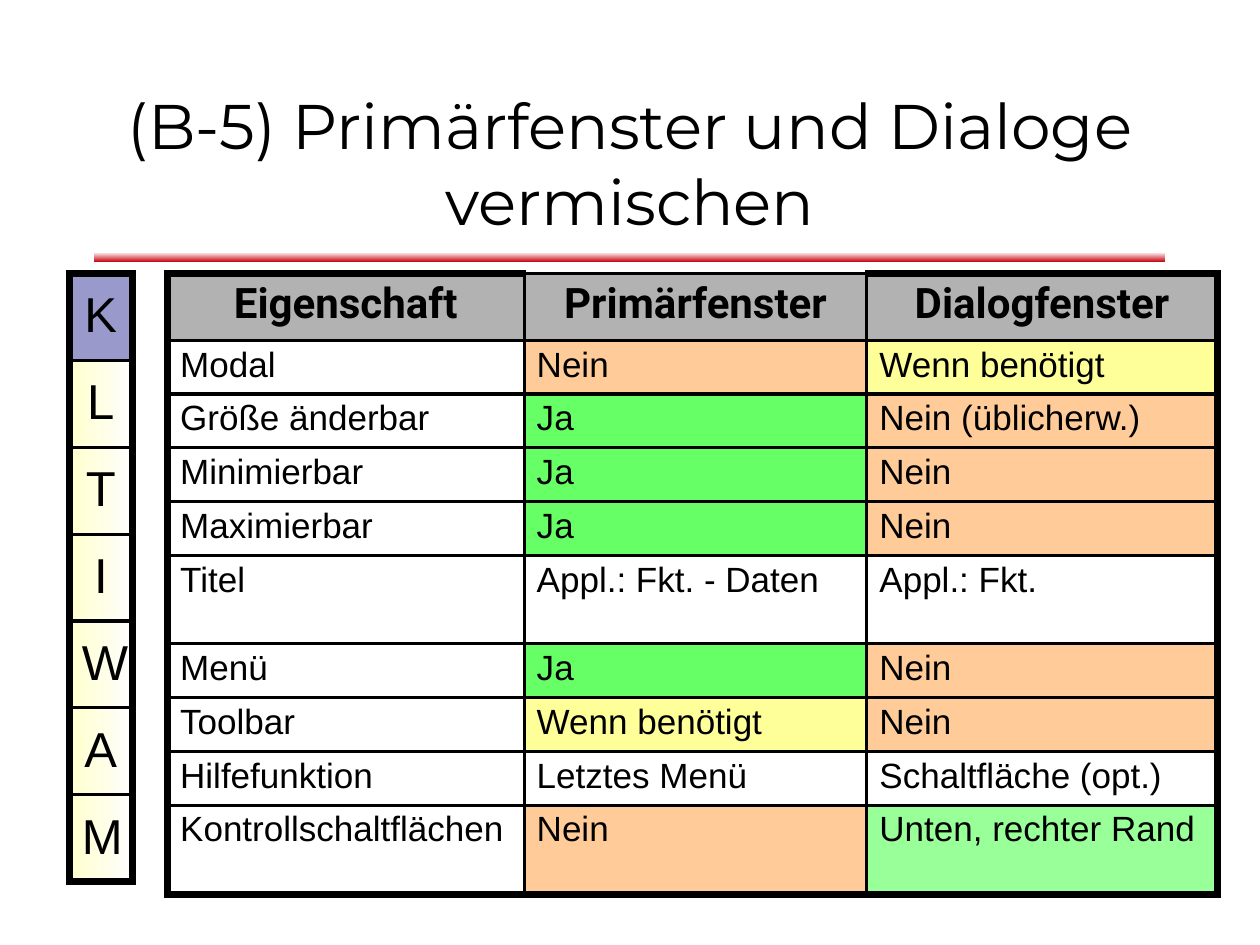
"""Build a slide that compares primary windows and dialog windows."""
from dataclasses import dataclass

from lxml import etree
from pptx import Presentation
from pptx.dml.color import RGBColor
from pptx.enum.shapes import MSO_SHAPE
from pptx.enum.text import MSO_ANCHOR, PP_ALIGN
from pptx.oxml.ns import qn
from pptx.util import Emu, Inches, Pt

RECTANGLE = MSO_SHAPE.RECTANGLE
TOP, MIDDLE = MSO_ANCHOR.TOP, MSO_ANCHOR.MIDDLE
LEFT, CENTER = PP_ALIGN.LEFT, PP_ALIGN.CENTER
SLIDE_WIDTH, SLIDE_HEIGHT = Inches(10), Inches(7.5)
BLACK, WHITE, RED = "000000", "FFFFFF", "C5000B"
GRAY, VIOLET = "B2B2B2", "9999CC"
ORANGE, YELLOW, GREEN, MINT = "FFCC99", "FFFF99", "66FF66", "99FF99"
CREAM_FADE = ("FFFFCC", "FEFEFE")
THIN, THICK = 1.98, 4.48


@dataclass
class Area:
    """A rectangle in percent of the slide's width and height."""
    left: float
    top: float
    width: float
    height: float

    def box(self) -> tuple:
        return (across(self.left), down(self.top),
                across(self.width), down(self.height))


@dataclass
class Entry:
    """The text and fill of one table cell."""
    text: str
    fill: str | tuple | None = None


@dataclass
class Style:
    """The text format of a table cell."""
    size: float
    font: str = "Arial"
    bold: bool = False
    align: PP_ALIGN = LEFT
    anchor: MSO_ANCHOR = TOP


HEADER = Style(24, "Roboto", True, CENTER)
BODY = Style(20)
LETTER = Style(28, align=CENTER, anchor=MIDDLE)

NO, YES, OPTIONAL = Entry("Nein", ORANGE), Entry("Ja", GREEN), Entry("Wenn benötigt", YELLOW)
PROPERTIES = [
    [Entry(name, GRAY) for name in ("Eigenschaft", "Primärfenster", "Dialogfenster")],
    [Entry("Modal"), NO, OPTIONAL],
    [Entry("Größe änderbar"), YES, Entry("Nein (üblicherw.)", ORANGE)],
    [Entry("Minimierbar"), YES, NO],
    [Entry("Maximierbar"), YES, NO],
    [Entry("Titel"), Entry("Appl.: Fkt. - Daten"), Entry("Appl.: Fkt.")],
    [Entry("Menü"), YES, NO],
    [Entry("Toolbar"), OPTIONAL, NO],
    [Entry("Hilfefunktion"), Entry("Letztes Menü"), Entry("Schaltfläche (opt.)")],
    [Entry("Kontrollschaltflächen"), NO, Entry("Unten, rechter Rand", MINT)],
]
PROPERTY_COLUMNS = [28.3, 27.2, 27.8]
PROPERTY_ROWS = [7.07] + [5.07] * 4 + [9.33] + [5.07] * 3 + [9.47]
LETTERS = [[Entry(letter, VIOLET if letter == "K" else CREAM_FADE)] for letter in "KLTIWAM"]


def across(percent: float) -> Emu:
    """Return a share of the slide's width."""
    return Emu(round(SLIDE_WIDTH * percent / 100))


def down(percent: float) -> Emu:
    """Return a share of the slide's height."""
    return Emu(round(SLIDE_HEIGHT * percent / 100))


def color(value: str) -> RGBColor:
    """Return the colour of a hex string."""
    return RGBColor.from_string(value)


def paint(fill, value: str | tuple | None, angle: float = 0) -> None:
    """Fill with a colour, a gradient of two colours, or nothing."""
    if value is None:
        fill.background()
    elif isinstance(value, str):
        fill.solid()
        fill.fore_color.rgb = color(value)
    else:
        fill.gradient()
        fill.gradient_angle = angle
        for stop, position, shade in zip(fill.gradient_stops, (0, 1), value):
            stop.position = position
            stop.color.rgb = color(shade)


def write(frame, text: str, *, size: float, font: str, bold: bool = False,
          align: PP_ALIGN = LEFT, spacing: float | None = None) -> None:
    """Put one formatted paragraph into a text frame."""
    frame.word_wrap = True
    para = frame.paragraphs[0]
    para.alignment = align
    para.line_spacing = spacing
    span = para.add_run()
    span.text = text
    span.font.size = Pt(size)
    span.font.name = font
    span.font.bold = bold
    span.font.color.rgb = color(BLACK)


def draw_borders(cell, widths: dict[str, float]) -> None:
    """Give each side of a cell a black line."""
    properties = cell._tc.get_or_add_tcPr()
    for side, width in widths.items():
        line = etree.SubElement(properties, qn(f"a:ln{side}"), w=str(Pt(width)))
        solid = etree.SubElement(line, qn("a:solidFill"))
        etree.SubElement(solid, qn("a:srgbClr"), val=BLACK)


def add_grid(page, left: float, top: float, columns: list[float], rows: list[float],
             entries: list[list[Entry]], first: Style, rest: Style) -> None:
    """Draw a table with a thick frame and thin inner lines."""
    area = Area(left, top, sum(columns), sum(rows))
    table = page.shapes.add_table(len(rows), len(columns), *area.box()).table
    table.first_row = table.horz_banding = False
    for column, width in zip(table.columns, columns):
        column.width = across(width)
    for row, height in zip(table.rows, rows):
        row.height = down(height)
    last_row, last_column = len(rows) - 1, len(columns) - 1
    for r, line in enumerate(entries):
        for c, entry in enumerate(line):
            cell = table.cell(r, c)
            style = first if r == 0 else rest
            at_corner = r == 0 and c in (0, last_column)
            draw_borders(cell, {
                "L": THICK if c == 0 else THIN,
                "R": THICK if c == last_column else THIN,
                "T": THICK if at_corner else THIN,
                "B": THICK if r == last_row else THIN,
            })
            paint(cell.fill, entry.fill)
            cell.vertical_anchor = style.anchor
            write(cell.text_frame, entry.text, size=style.size, font=style.font,
                  bold=style.bold, align=style.align, spacing=0.98)


def add_rule(page, area: Area) -> None:
    """Draw the red fading bar below the title."""
    bar = page.shapes.add_shape(RECTANGLE, *area.box())
    bar.shadow.inherit = False
    bar.line.fill.background()
    paint(bar.fill, (RED, WHITE), angle=90)


def add_title(page, area: Area, text: str) -> None:
    """Write the centred slide title."""
    frame = page.shapes.add_textbox(*area.box()).text_frame
    frame.vertical_anchor = MIDDLE
    write(frame, text, size=36, font="Montserrat", align=CENTER)


def main() -> None:
    """Build and save the deck."""
    deck = Presentation()
    deck.slide_width, deck.slide_height = SLIDE_WIDTH, SLIDE_HEIGHT
    page = deck.slides.add_slide(deck.slide_layouts[6])
    add_rule(page, Area(7.5, 26.67, 85, 1.07))
    add_title(page, Area(7.5, 8.53, 85, 17.33), "(B-5) Primärfenster und Dialoge vermischen")
    add_grid(page, 13.3, 28.93, PROPERTY_COLUMNS, PROPERTY_ROWS, PROPERTIES, HEADER, BODY)
    add_grid(page, 5.5, 28.93, [5], [9.2] * len(LETTERS), LETTERS, LETTER, LETTER)
    deck.save("out.pptx")


if __name__ == "__main__":
    main()
